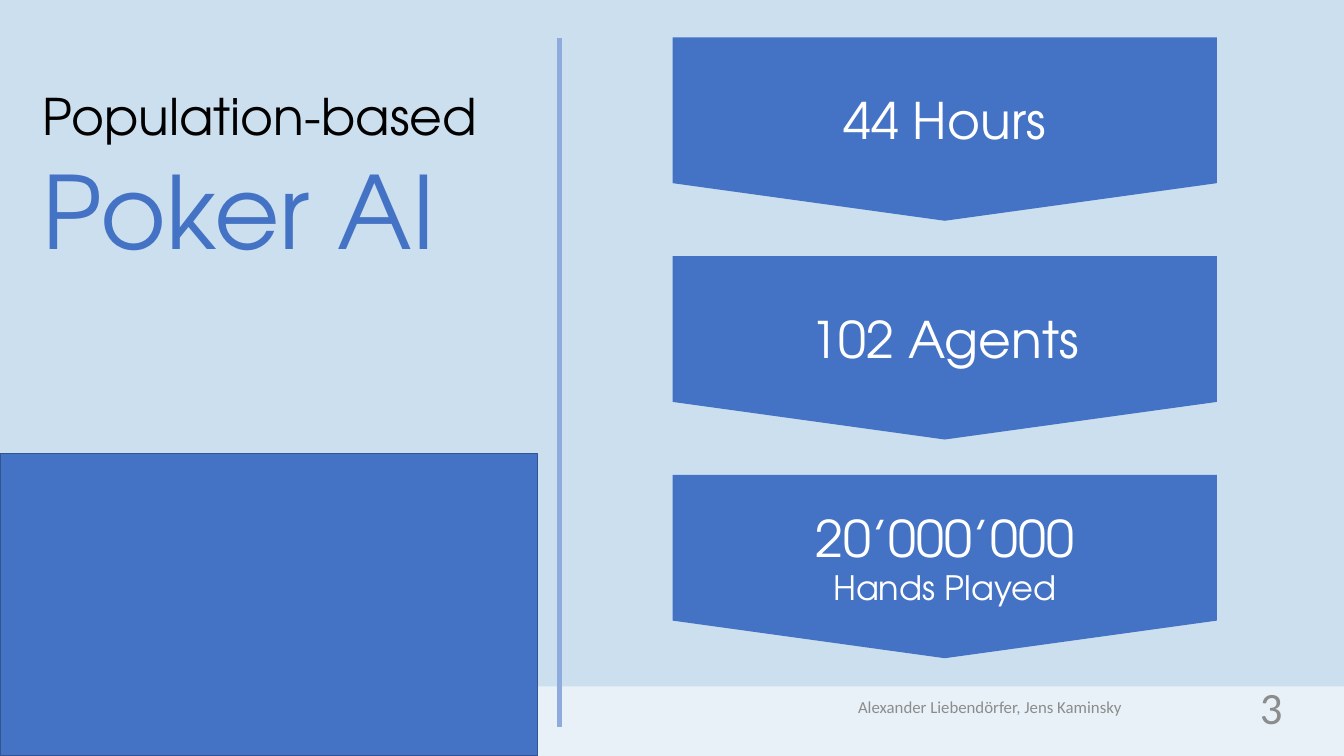
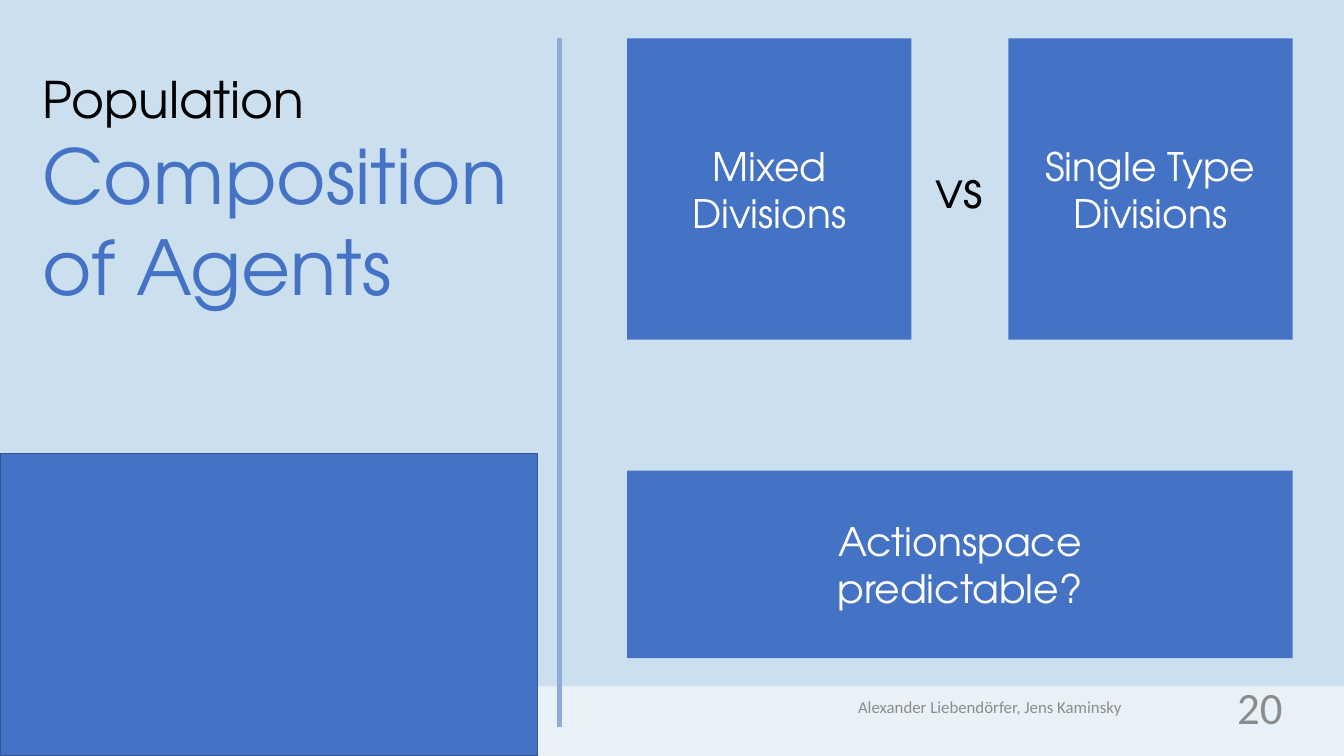
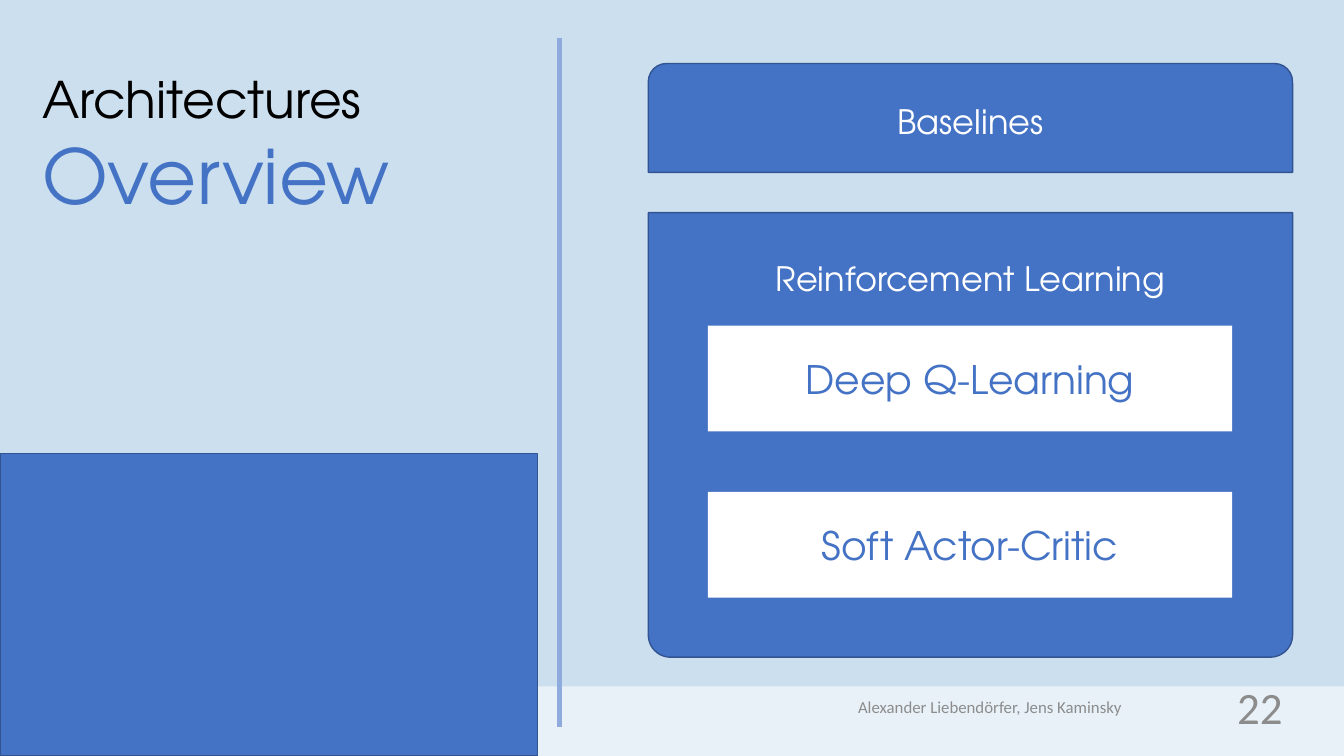
from lxml.etree import SubElement
from pptx import Presentation
from pptx.dml.color import RGBColor
from pptx.enum.shapes import MSO_CONNECTOR, MSO_SHAPE as Shape
from pptx.enum.text import MSO_ANCHOR as Anchor, PP_ALIGN as Align
from pptx.oxml.ns import qn
from pptx.util import Inches, Pt

COLORS = {
    "background": "CCDFEE",
    "band": "E8F1F8",
    "blue": "4472C4",
    "outline": "325491",
    "divider": "8FAADC",
    "gray": "8C8C8C",
    "black": "000000",
    "white": "FFFFFF",
}
TITLE_FONT, FOOTER_FONT = "TeX Gyre Adventor", "Calibri"
AUTHORS = "Alexander Liebendörfer, Jens Kaminsky"
WIDTH, HEIGHT = 13.33, 7.5
TOP, RIGHT = 0.38, 12.82


def color(name):
    return RGBColor.from_string(COLORS[name])


class Deck:
    """Holds the presentation, its style and the slide being built."""

    def __init__(self):
        self.deck = Presentation()
        self.deck.slide_width = Inches(WIDTH)
        self.deck.slide_height = Inches(HEIGHT)
        self.page = None

    def add_page(self, number, title, title_height, title_width=5.01):
        self.page = self.deck.slides.add_slide(self.deck.slide_layouts[6])
        fill = self.page.background.fill
        fill.solid()
        fill.fore_color.rgb = color("background")
        self.block(0, 6.81, WIDTH, 0.69, fill="band")
        self.block(0, 4.5, 5.33, 3, outlined=True)
        self.divider(5.55, 7.21, TOP)
        self.footer(9.82, 3, str(number), 32, Align.RIGHT)
        self.footer(7.57, 4.5, AUTHORS, 12, Align.CENTER)
        self.label(0.32, 0.63, title_width, title_height, title)

    def add_text(self, frame, paragraphs, align, font=TITLE_FONT, spacing=None):
        """Fill a frame from paragraphs, each a list of (text, size, color)."""
        for index, runs in enumerate(paragraphs):
            para = frame.add_paragraph() if index else frame.paragraphs[0]
            para.alignment = align
            if spacing:
                para.line_spacing = spacing
            for text, size, name in runs:
                span = para.add_run()
                span.text = text
                span.font.name = font
                span.font.size = Pt(size)
                span.font.color.rgb = color(name)

    def block(self, left, top, width, height, paragraphs=(), kind=Shape.RECTANGLE,
              fill="blue", outlined=False, adjust=(), anchor=Anchor.MIDDLE, spacing=None):
        box = self.page.shapes.add_shape(
            kind, Inches(left), Inches(top), Inches(width), Inches(height))
        box.shadow.inherit = False
        for index, value in enumerate(adjust):
            box.adjustments[index] = value
        box.fill.solid()
        box.fill.fore_color.rgb = color(fill)
        if outlined:
            box.line.color.rgb = color("outline")
            box.line.width = Pt(1)
        else:
            box.line.fill.background()
        box.text_frame.vertical_anchor = anchor
        self.add_text(box.text_frame, paragraphs, Align.CENTER, spacing=spacing)
        return box

    def down_arrow(self, center_x, center_y, width, height, paragraphs):
        """A pentagon turned to point down, with its text kept upright."""
        box = self.block(center_x - height / 2, center_y - width / 2, height, width,
                         paragraphs, Shape.PENTAGON, adjust=[0.205])
        box.rotation = 90
        box._element.txBody.bodyPr.set("vert", "vert270")

    def label(self, left, top, width, height, paragraphs, align=Align.LEFT,
              font=TITLE_FONT, anchor=Anchor.TOP, wrap=True):
        box = self.page.shapes.add_textbox(
            Inches(left), Inches(top), Inches(width), Inches(height))
        box.text_frame.word_wrap = wrap
        box.text_frame.vertical_anchor = anchor
        self.add_text(box.text_frame, paragraphs, align, font)

    def footer(self, left, width, text, size, align):
        self.label(left, 6.81, width, 0.4, [[(text, size, "gray")]],
                   align, FOOTER_FONT, Anchor.MIDDLE)

    def divider(self, x, start, end):
        line = self.page.shapes.add_connector(
            MSO_CONNECTOR.STRAIGHT, Inches(x), Inches(start), Inches(x), Inches(end))
        line.line.color.rgb = color("divider")
        line.line.width = Pt(3)
        SubElement(line._element.spPr, qn("a:effectLst"))

    def save(self):
        self.deck.save("out.pptx")


def lines(size, name, *texts):
    """One single-run paragraph for each text."""
    return [[(text, size, name)] for text in texts]


def add_figures(deck):
    title = [[("Population-based", 36, "black"), (" ", 48, "black"),
              ("Poker AI", 72, "blue")]]
    deck.add_page(3, title, 2.12, title_width=4.92)
    figures = [
        lines(36, "white", "44 Hours"),
        lines(36, "white", "102 Agents"),
        lines(36, "white", "20’000’000") + lines(24, "white", "Hands Played"),
    ]
    for index, figure in enumerate(figures):
        deck.down_arrow(9.37, 1.28 + 2.17 * index, 5.4, 1.82, figure)


def add_composition(deck):
    title = lines(36, "black", "Population") + lines(54, "blue", "Composition", "of Agents")
    deck.add_page(20, title, 2.52)
    left, side = 6.22, 2.82
    deck.block(left, TOP, side, 2.99, lines(28, "white", "Mixed", "Divisions"))
    deck.block(RIGHT - side, TOP, side, 2.99, lines(28, "white", "Single Type", "Divisions"))
    deck.label(9.18, 1.52, 0.68, 0.71, lines(36, "black", "vs"), wrap=False)
    deck.block(left, 4.67, RIGHT - left, 1.86,
               lines(28, "white", "Actionspace", "predictable?"))


def add_architectures(deck):
    title = lines(36, "black", "Architectures") + lines(54, "blue", "Overview")
    deck.add_page(22, title, 1.62)
    left, width = 6.43, 6.39
    deck.block(left, 0.63, width, 1.08, lines(24, "white", "Baselines"),
               Shape.ROUND_2_SAME_RECTANGLE, outlined=True)
    deck.block(left, 2.11, width, 4.41, lines(24, "white", "Reinforcement Learning"),
               Shape.ROUND_2_SAME_RECTANGLE, outlined=True, adjust=[0, 0.05],
               anchor=Anchor.TOP, spacing=2.0)
    for index, method in enumerate(["Deep Q-Learning", "Soft Actor-Critic"]):
        deck.block(7.02, 3.23 + 1.65 * index, 5.2, 1.05, lines(28, "blue", method),
                   fill="white")


def main():
    deck = Deck()
    add_figures(deck)
    add_composition(deck)
    add_architectures(deck)
    deck.save()


if __name__ == "__main__":
    main()
